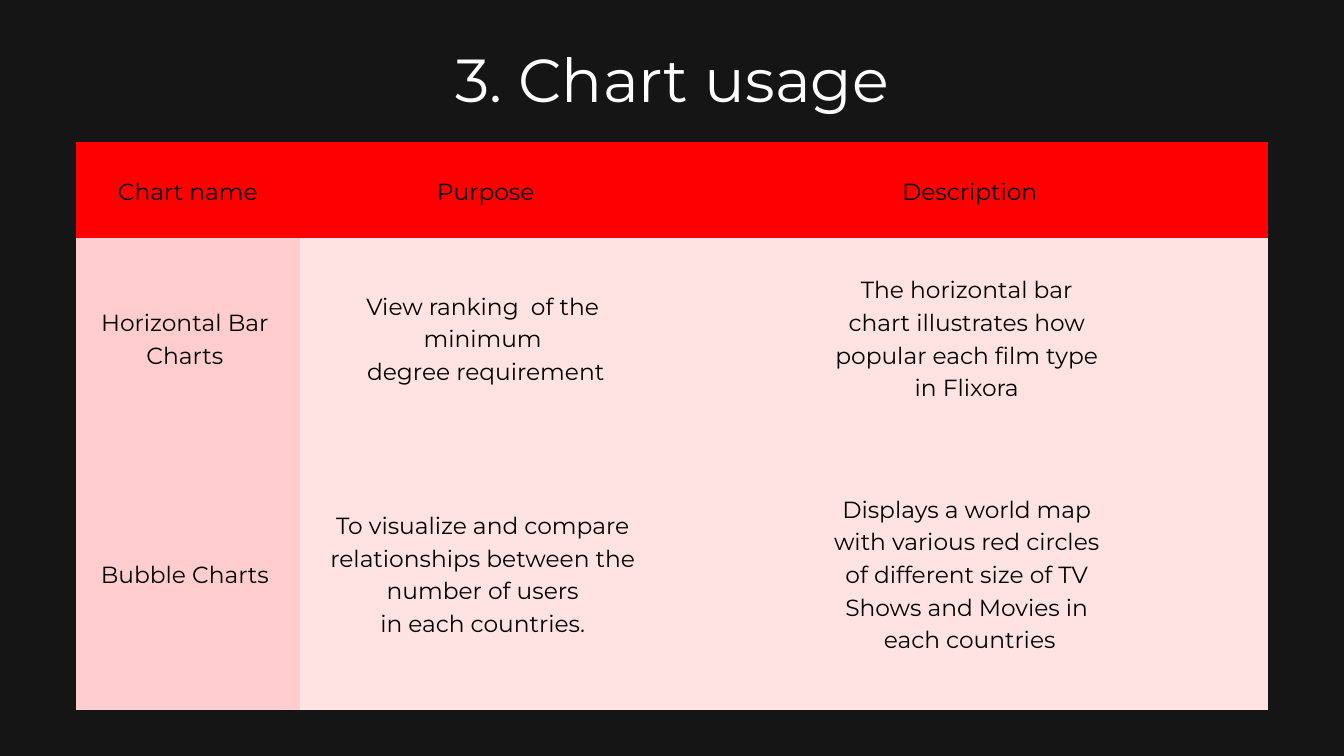
from lxml import etree
from pptx import Presentation
from pptx.dml.color import RGBColor
from pptx.enum.text import MSO_ANCHOR, PP_ALIGN
from pptx.oxml.ns import qn
from pptx.util import Pt

CENTER = PP_ALIGN.CENTER
MIDDLE = MSO_ANCHOR.MIDDLE

FONT = "Montserrat"
BACKGROUND = RGBColor(0x15, 0x15, 0x15)
WHITE = RGBColor(0xFF, 0xFF, 0xFF)
BLACK = RGBColor(0x00, 0x00, 0x00)
HEADER_RED = RGBColor(0xFF, 0x00, 0x00)
NAME_PINK = RGBColor(0xFF, 0xCD, 0xCD)
BODY_PINK = RGBColor(0xFF, 0xE3, 0xE3)

LINE_SPACING = 35
COLUMN_WIDTHS = [240, 398.2, 639]
ROW_HEIGHTS = [103, 247.7, 257.7]
ROWS = [
    ["Chart name", "Purpose", "Description"],
    [
        "Horizontal Bar \nCharts ",
        "View ranking  of the \nminimum \ndegree requirement",
        "The horizontal bar \nchart illustrates how \npopular each film type \nin Flixora ",
    ],
    [
        "Bubble Charts ",
        "To visualize and compare \nrelationships between the \nnumber of users \n"
        "in each countries. ",
        "Displays a world map \nwith various red circles \nof different size of TV \n"
        "Shows and Movies in \neach countries",
    ],
]


def write_text(tf, text, size, color, spacing):
    """Write each line of text as a centred paragraph."""
    tf.word_wrap = True
    for i, line in enumerate(text.split("\n")):
        p = tf.paragraphs[0] if i == 0 else tf.add_paragraph()
        p.alignment = CENTER
        p.line_spacing = Pt(spacing)
        r = p.add_run()
        r.text = line
        r.font.name = FONT
        r.font.size = Pt(size)
        r.font.color.rgb = color


def set_margins(box, bottom=0):
    box.margin_left = box.margin_top = box.margin_right = 0
    box.margin_bottom = Pt(bottom)


def hide_borders(cell):
    tc_pr = cell._tc.get_or_add_tcPr()
    for i, side in enumerate(("lnL", "lnR", "lnT", "lnB")):
        line = etree.Element(qn(f"a:{side}"), w="0")
        etree.SubElement(line, qn("a:noFill"))
        tc_pr.insert(i, line)


def cell_color(row, column):
    if row == 0:
        return HEADER_RED
    return NAME_PINK if column == 0 else BODY_PINK


def add_title(s, text):
    tf = s.shapes.add_textbox(Pt(477), Pt(31.4), Pt(486.8), Pt(87.8)).text_frame
    set_margins(tf)
    write_text(tf, text, size=65, color=WHITE, spacing=91)


def add_usage_table(s):
    table = s.shapes.add_table(
        len(ROWS), len(COLUMN_WIDTHS), Pt(81.3), Pt(152),
        Pt(sum(COLUMN_WIDTHS)), Pt(sum(ROW_HEIGHTS)),
    ).table
    table.first_row = table.horz_banding = False
    for column, width in zip(table.columns, COLUMN_WIDTHS):
        column.width = Pt(width)
    for row, height in zip(table.rows, ROW_HEIGHTS):
        row.height = Pt(height)
    for i, texts in enumerate(ROWS):
        for j, text in enumerate(texts):
            cell = table.cell(i, j)
            # Body text sits half a line above the middle of its cell.
            set_margins(cell, bottom=LINE_SPACING if i > 0 else 0)
            cell.vertical_anchor = MIDDLE
            cell.fill.solid()
            cell.fill.fore_color.rgb = cell_color(i, j)
            hide_borders(cell)
            write_text(cell.text_frame, text, size=25, color=BLACK, spacing=LINE_SPACING)


def main():
    prs = Presentation()
    prs.slide_width, prs.slide_height = Pt(1440), Pt(810)
    s = prs.slides.add_slide(prs.slide_layouts[6])
    s.background.fill.solid()
    s.background.fill.fore_color.rgb = BACKGROUND
    add_usage_table(s)
    add_title(s, "3. Chart usage")
    prs.save("out.pptx")


if __name__ == "__main__":
    main()
